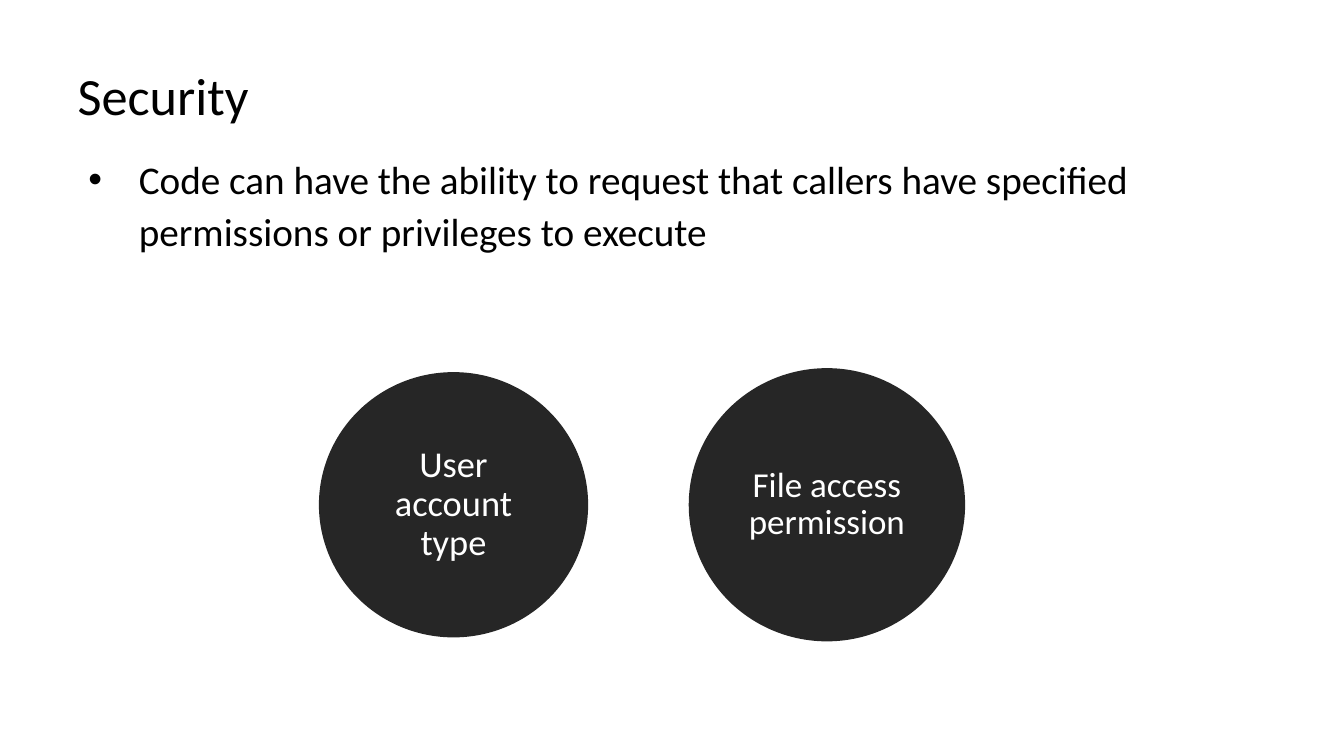
from dataclasses import dataclass

from lxml import etree
from pptx import Presentation
from pptx.dml.color import RGBColor
from pptx.enum.shapes import MSO_SHAPE
from pptx.enum.text import MSO_ANCHOR, MSO_AUTO_SIZE, PP_ALIGN
from pptx.oxml.ns import qn
from pptx.slide import Slide
from pptx.text.text import TextFrame, _Paragraph
from pptx.util import Cm, Pt

OVAL = MSO_SHAPE.OVAL
MIDDLE, TOP = MSO_ANCHOR.MIDDLE, MSO_ANCHOR.TOP
LEFT, CENTER = PP_ALIGN.LEFT, PP_ALIGN.CENTER
FIXED = MSO_AUTO_SIZE.NONE

FONT = "Calibri"
BLACK, WHITE, DARK = "000000", "FFFFFF", "262626"
MID_Y = 12.72


@dataclass
class Disc:
    """Circle with its middle and size in cm and its text size in points."""
    text: str
    mid_x: float
    width: float
    height: float
    size: float


DISCS = [
    Disc("User account type", 11.43, 6.3, 6.2, 26),
    Disc("File access permission", 20.84, 6.48, 6.4, 25),
]


def color(code: str) -> RGBColor:
    return RGBColor.from_string(code)


def write(frame: TextFrame, text: str, size: float, ink: str, space: float,
          align: PP_ALIGN = LEFT, anchor: MSO_ANCHOR = MIDDLE) -> _Paragraph:
    """Fill the frame with one formatted paragraph and return it."""
    frame.text = text
    frame.word_wrap = True
    frame.auto_size = FIXED
    frame.vertical_anchor = anchor
    para = frame.paragraphs[0]
    para.alignment = align
    para.line_spacing = space
    para.space_before = Pt(0)
    for run in para.runs:
        run.font.name = FONT
        run.font.size = Pt(size)
        run.font.color.rgb = color(ink)
    return para


def add_bullet(para: _Paragraph, indent: Cm) -> None:
    props = para._p.get_or_add_pPr()
    props.set("marL", str(indent))
    props.set("indent", str(-indent))
    etree.SubElement(props, qn("a:buFont")).set("typeface", "Arial")
    etree.SubElement(props, qn("a:buChar")).set("char", "•")


def add_title(slide: Slide) -> None:
    title = slide.shapes.title
    title.left, title.top = Cm(1.7), Cm(0)
    title.width, title.height = Cm(30.1), Cm(3.33)
    write(title.text_frame, "Security", 37.4, BLACK, 1.9)


def add_body(slide: Slide) -> None:
    box = slide.shapes.add_textbox(Cm(1.98), Cm(3.68), Cm(28.98), Cm(5.08))
    text = ("Code can have the ability to request that callers have specified "
            "permissions or privileges to execute")
    para = write(box.text_frame, text, 28, BLACK, 1.1, anchor=TOP)
    add_bullet(para, Cm(1.27))


def add_disc(slide: Slide, disc: Disc) -> None:
    shape = slide.shapes.add_shape(
        OVAL, Cm(disc.mid_x - disc.width / 2), Cm(MID_Y - disc.height / 2),
        Cm(disc.width), Cm(disc.height))
    shape.shadow.inherit = False
    shape.fill.solid()
    shape.fill.fore_color.rgb = color(DARK)
    shape.line.color.rgb = color(DARK)
    shape.line.width = Pt(13.75)
    frame = shape.text_frame
    frame.margin_left = frame.margin_right = Cm(0.1)
    write(frame, disc.text, disc.size, WHITE, 0.9, CENTER)


def main() -> None:
    deck = Presentation()
    deck.slide_width, deck.slide_height = Cm(33.87), Cm(19.05)
    slide = deck.slides.add_slide(deck.slide_layouts[5])
    add_title(slide)
    add_body(slide)
    for disc in DISCS:
        add_disc(slide, disc)
    deck.save("out.pptx")


if __name__ == "__main__":
    main()
